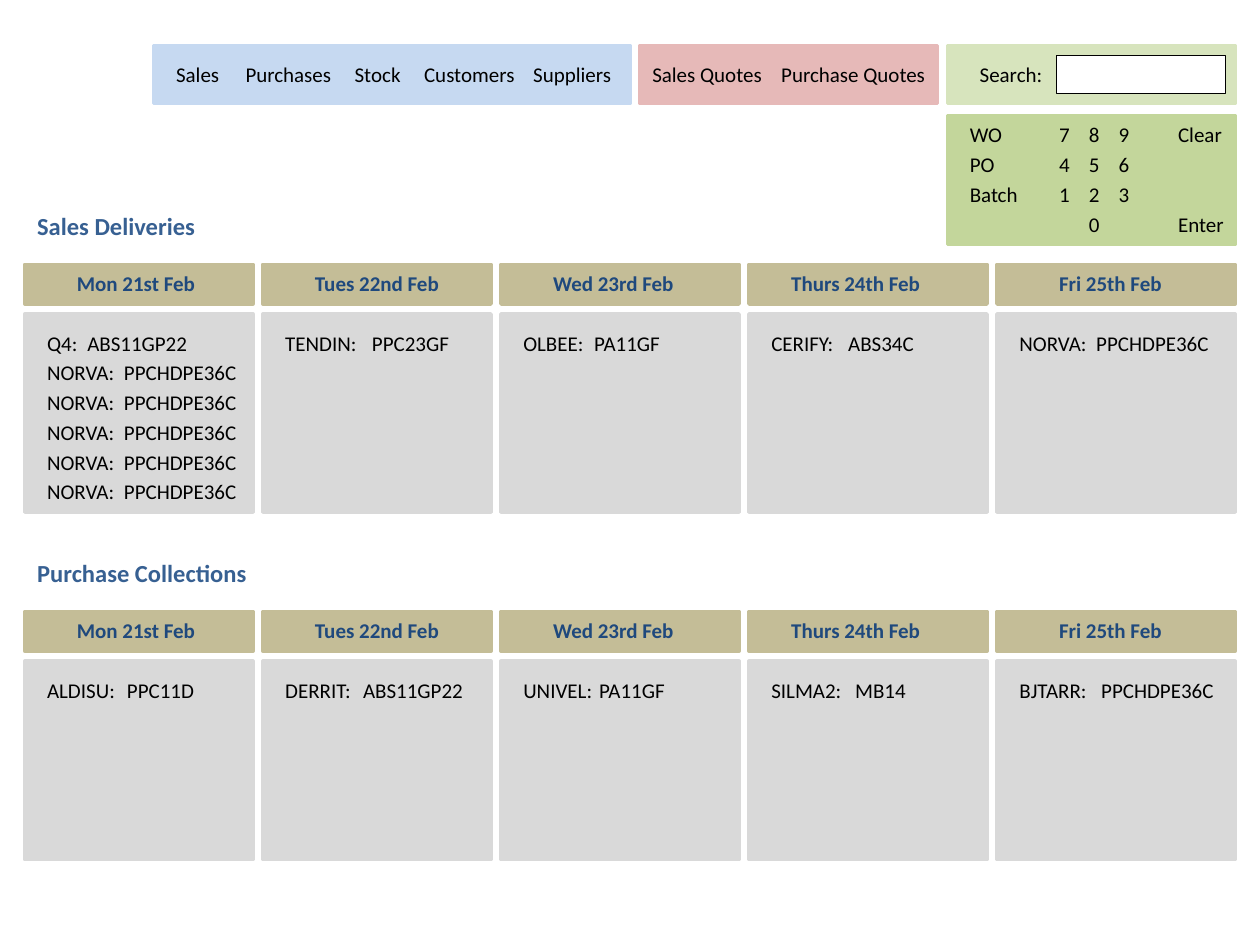
from pptx import Presentation
from pptx.dml.color import RGBColor
from pptx.enum.shapes import MSO_SHAPE as Shape
from pptx.enum.text import MSO_AUTO_SIZE as AutoSize
from pptx.oxml import parse_xml
from pptx.oxml.ns import nsdecls
from pptx.util import Cm, Pt

BLACK = RGBColor(0x00, 0x00, 0x00)
WHITE = RGBColor(0xFF, 0xFF, 0xFF)
BLUE = RGBColor(0xC6, 0xD9, 0xF1)
PINK = RGBColor(0xE6, 0xB9, 0xB8)
PALE_GREEN = RGBColor(0xD7, 0xE4, 0xBD)
GREEN = RGBColor(0xC3, 0xD6, 0x9B)
TAN = RGBColor(0xC4, 0xBD, 0x97)
GREY = RGBColor(0xD9, 0xD9, 0xD9)
HEADING = RGBColor(0x37, 0x60, 0x92)
NAVY = RGBColor(0x1F, 0x49, 0x7D)


def add_panel(parent, left, top, width, height, fill, line=None, weight=2):
    panel = parent.add_shape(Shape.RECTANGLE, Cm(left), Cm(top), Cm(width), Cm(height))
    panel.shadow.inherit = False
    panel.fill.solid()
    panel.fill.fore_color.rgb = fill
    panel.line.color.rgb = line or fill
    panel.line.width = Pt(weight)


def add_label(parent, text, left, top, width, size=12, color=BLACK, bold=False):
    box = parent.add_textbox(Cm(left), Cm(top), Cm(width), Cm(0.77))
    frame = box.text_frame
    frame.word_wrap = True
    frame.auto_size = AutoSize.SHAPE_TO_FIT_TEXT
    frame.text = text
    font = frame.paragraphs[0].runs[0].font
    font.name = "Calibri"
    font.size = Pt(size)
    font.bold = bold
    font.color.rgb = color
    return frame.paragraphs[0]


deck = Presentation()
deck.slide_width, deck.slide_height = Cm(25.4), Cm(19.05)
page = deck.slides.add_slide(deck.slide_layouts[6])
shapes = page.shapes

# Menu bar: panels, labels and the search field
for left, width, fill in [(3.1, 9.6, BLUE), (12.9, 6, PINK), (19.1, 5.8, PALE_GREEN)]:
    add_panel(shapes, left, 0.92, width, 1.17, fill)
menu = [("Sales", 3.3, 1.4), ("Purchases", 4.7, 2.4), ("Stock", 6.9, 1.8),
        ("Customers", 8.3, 2.4), ("Suppliers", 10.5, 2.4), ("Sales Quotes", 12.9, 3),
        ("Purchase Quotes", 15.5, 3.6), ("Search:", 19.5, 1.85)]
for text, left, width in menu:
    add_label(shapes, text, left, 1.12, width)
add_panel(shapes, 21.3, 1.12, 3.4, 0.77, WHITE, BLACK, 0.75)

# Keypad
KEY_TOP, KEY_STEP = 2.33, 0.6
keypad = shapes.add_group_shape().shapes
add_panel(keypad, 19.1, KEY_TOP, 5.8, 2.6, GREEN)
key_rows = [("WO", "789", "Clear"), ("PO", "456", ""), ("Batch", "123", ""),
            ("", " 0", "Enter")]
for row, (kind, digits, action) in enumerate(key_rows):
    top = KEY_TOP + row * KEY_STEP
    if kind:
        add_label(keypad, kind, 19.3, top, 1.6)
    for column, digit in enumerate(digits):
        if digit != " ":
            add_label(keypad, digit, 21.1 + column * KEY_STEP, top, 0.74)
    if action:
        add_label(keypad, action, 23.5, top, 1.5)

# Week columns: left, width, date, indent and width of the date
days = [(0.5, 4.6, "Mon 21st Feb", 0.8, 3.2), (5.3, 4.6, "Tues 22nd Feb", 0.8, 3.4),
        (10.1, 4.8, "Wed 23rd Feb", 0.8, 3), (15.1, 4.8, "Thurs 24th Feb", 0.6, 3.4),
        (20.1, 4.8, "Fri 25th Feb", 1, 2.8)]

# Entries per day: partner, product and the tab stop between them
norva = ("NORVA", "PPCHDPE36C", 1.55)
deliveries = [[("Q4", "ABS11GP22", 0.81)] + [norva] * 5,
              [("TENDIN", "PPC23GF", 1.75)], [("OLBEE", "PA11GF", 1.43)],
              [("CERIFY", "ABS34C", 1.55)], [norva]]
collections = [[("ALDISU", "PPC11D", 1.61)], [("DERRIT", "ABS11GP22", 1.57)],
               [("UNIVEL", "PA11GF", 1.53)], [("SILMA2", "MB14", 1.69)],
               [("BJTARR", "PPCHDPE36C", 1.65)]]

# Week boards
for top, heading, week in [(4.12, "Sales Deliveries", deliveries),
                           (11.12, "Purchase Collections", collections)]:
    add_label(shapes, heading, 0.5, top, 5.8, 14, HEADING, True)
    for (left, width, date, indent, date_width), entries in zip(days, week):
        add_panel(shapes, left, top + 1.21, width, 0.8, TAN)
        add_panel(shapes, left, top + 2.21, width, 4, GREY)
        add_label(shapes, date, left + indent, top + 1.21, date_width, 12, NAVY, True)
        for row, (partner, product, stop) in enumerate(entries):
            para = add_label(shapes, f"{partner}:\t{product}", left + 0.2,
                             top + 2.41 + row * 0.6, 4.6)
            para._p.get_or_add_pPr().append(parse_xml(
                f'<a:tabLst {nsdecls("a")}><a:tab pos="{Cm(stop)}" algn="l"/></a:tabLst>'))

deck.save("out.pptx")
